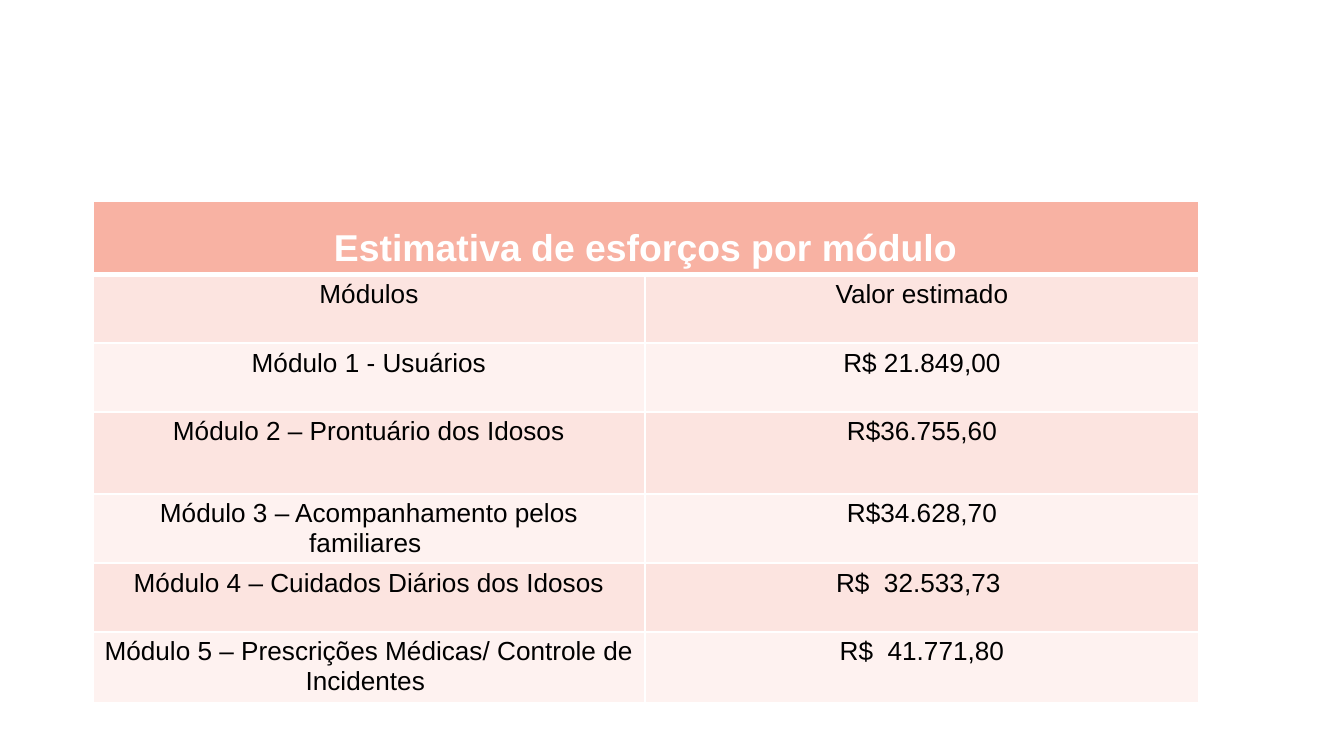
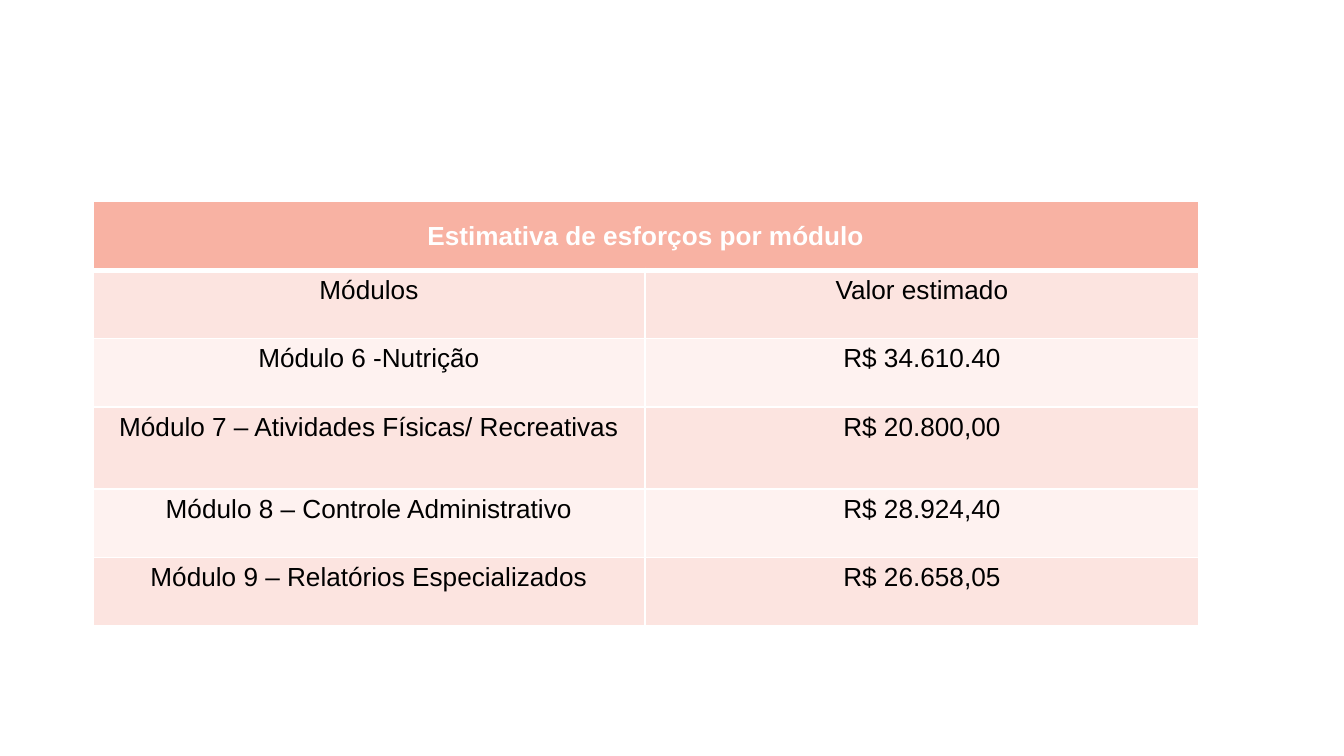
from dataclasses import dataclass

import pptx
import pptx.dml.color
import pptx.enum.text
import pptx.oxml
import pptx.oxml.ns
import pptx.slide
import pptx.table
import pptx.util

Inches = pptx.util.Inches
Pt = pptx.util.Pt

FONT = "Arial"
WHITE, BLACK = "FFFFFF", "000000"
CORAL, ROSE, BLUSH = "F8B2A3", "FCE4E0", "FEF2F0"
TITLE = "Estimativa de esforços por módulo"
HEADS = ("Módulos", "Valor estimado")
LEFT, TOP = 0.69, 1.5
WIDTHS = (4.11, 4.12)
THIN, THICK = 1, 3
ROW = 0.51


@dataclass(frozen=True)
class Sheet:
    size: int
    rows: tuple[tuple[str, str], ...]
    tall: dict[int, float]


SHEETS = (
    Sheet(20, (
        ("Módulo 1 - Usuários", "R$ 21.849,00"),
        ("Módulo 2 – Prontuário dos Idosos", "R$36.755,60"),
        ("Módulo 3 – Acompanhamento pelos familiares ", "R$34.628,70"),
        ("Módulo 4 – Cuidados Diários dos Idosos", "R$  32.533,73 "),
        ("Módulo 5 – Prescrições Médicas/ Controle de Incidentes ", "R$  41.771,80"),
    ), {3: 0.61, 6: 0.53}),
    Sheet(14, (
        ("Módulo 6 -Nutrição", "R$ 34.610.40"),
        ("Módulo 7 – Atividades Físicas/ Recreativas", "R$ 20.800,00"),
        ("Módulo 8 – Controle Administrativo", "R$ 28.924,40"),
        ("Módulo 9 – Relatórios Especializados", "R$ 26.658,05"),
    ), {3: 0.61}),
)


def color(code: str) -> pptx.dml.color.RGBColor:
    return pptx.dml.color.RGBColor.from_string(code)


def edge(cell: pptx.table._Cell, top: float, bottom: float) -> None:
    """Draw white borders; call before the fill, which must follow them."""
    props = cell._tc.get_or_add_tcPr()
    for side, width in (("L", THIN), ("R", THIN), ("T", top), ("B", bottom)):
        props.append(pptx.oxml.parse_xml(
            f'<a:ln{side} {pptx.oxml.ns.nsdecls("a")} w="{Pt(width)}">'
            f'<a:solidFill><a:srgbClr val="{WHITE}"/></a:solidFill></a:ln{side}>'))


def paint(cell: pptx.table._Cell, fill: str) -> None:
    cell.margin_left = cell.margin_right = Inches(0.08)
    cell.margin_top = cell.margin_bottom = Inches(0.04)
    cell.fill.solid()
    cell.fill.fore_color.rgb = color(fill)


def write(cell: pptx.table._Cell, text: str, size: int, ink: str, bold: bool) -> None:
    cell.text = text
    para = cell.text_frame.paragraphs[0]
    para.alignment = pptx.enum.text.PP_ALIGN.CENTER
    para.font.name = FONT
    para.font.size = Pt(size)
    para.font.bold = bold
    para.font.color.rgb = color(ink)


def add_sheet(slide: pptx.slide.Slide, sheet: Sheet) -> None:
    lines = (HEADS, *sheet.rows)
    highs = [sheet.tall.get(i, ROW) for i in range(len(lines) + 1)]
    table = slide.shapes.add_table(
        len(highs), len(WIDTHS), Inches(LEFT), Inches(TOP),
        Inches(sum(WIDTHS)), Inches(sum(highs))).table
    for col, width in zip(table.columns, WIDTHS):
        col.width = Inches(width)
    for row, high in zip(table.rows, highs):
        row.height = Inches(high)

    for cell in table.rows[0].cells:
        edge(cell, THIN, THICK)
        paint(cell, CORAL)
    head = table.cell(0, 0)
    head.merge(table.cell(0, len(WIDTHS) - 1))
    write(head, TITLE, sheet.size, WHITE, True)
    head.text_frame.paragraphs[0].line_spacing = 1.5

    for i, line in enumerate(lines, 1):
        for cell, text in zip(table.rows[i].cells, line):
            edge(cell, THICK if i == 1 else THIN, THIN)
            paint(cell, ROSE if i % 2 else BLUSH)
            write(cell, text, 14, BLACK, False)


def main() -> None:
    deck = pptx.Presentation()
    deck.slide_width = Inches(10)
    deck.slide_height = deck.slide_width * 9 // 16
    blank = deck.slide_layouts[6]
    for sheet in SHEETS:
        add_sheet(deck.slides.add_slide(blank), sheet)
    deck.save("out.pptx")


if __name__ == "__main__":
    main()
